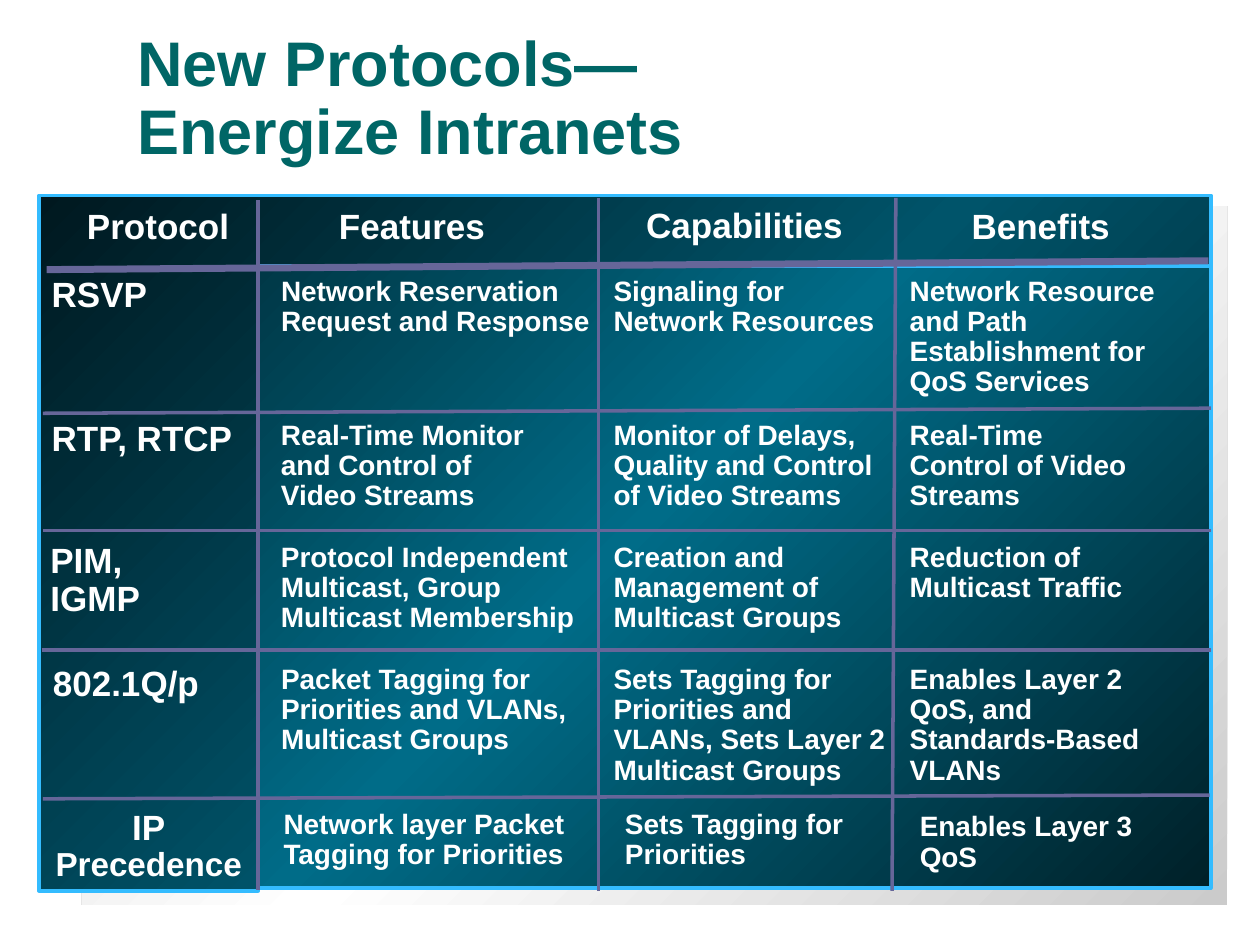
import pptx
import pptx.util
import pptx.dml.color
import pptx.enum.shapes
import pptx.enum.text
import pptx.oxml
import pptx.oxml.ns

Inches = pptx.util.Inches
Pt = pptx.util.Pt
ALIGN = pptx.enum.text.PP_ALIGN
FONT = "Arial"

COLORS = {
    "title": "006666",
    "text": "FFFFFF",
    "rule": "666699",
    "border": "34BCFF",
    "shadow": ("CBCBCB", "FFFFFF"),
    "panel": ("002028", "006C88"),
    "header": ("00181F", "00546A"),
}

# Header labels: text, left, top, width, wrap, alignment
HEADERS = [
    ("Protocol", 0.6, 1.62, 1.31, False, ALIGN.LEFT),
    ("Features", 2.6, 1.62, 1.34, False, ALIGN.CENTER),
    ("Capabilities", 4.46, 1.61, 2.9, True, ALIGN.CENTER),
    ("Benefits", 7.62, 1.62, 1.28, False, ALIGN.CENTER),
]

# Protocol names: text, left, top, width, horizontal inset
PROTOCOLS = [
    ("RSVP", 0.32, 2.16, 0.94, 0.09),
    ("RTP, RTCP", 0.32, 3.3, 1.65, 0.09),
    ("PIM, IGMP", 0.31, 4.27, 1.54, 0.09),
    ("802.1Q/p", 0.31, 5.24, 1.38, 0.11),
]

# Detail rows: top, then text and width for each of the three columns
DETAIL_LEFTS = (2.14, 4.78, 7.13)
DETAILS = [
    (2.16, [("Network Reservation Request and Response", 2.65),
            ("Signaling for\vNetwork Resources", 2.53),
            ("Network Resource and Path Establishment for QoS Services", 2.19)]),
    (3.3, [("Real-Time Monitor and Control of Video Streams", 2.3),
           ("Monitor of Delays, Quality and Control of Video Streams", 2.38),
           ("Real-Time Control of Video Streams", 2.05)]),
    (4.27, [("Protocol Independent Multicast, Group Multicast Membership", 2.7),
            ("Creation and Management of Multicast Groups", 2.38),
            ("Reduction of Multicast Traffic", 2.05)]),
    (5.24, [("Packet Tagging for Priorities and VLANs, Multicast Groups", 2.65),
            ("Sets Tagging for Priorities and VLANs, Sets Layer 2 Multicast Groups", 2.38),
            ("Enables Layer 2 QoS, and Standards-Based VLANs", 2.16)]),
]

# The last row sits slightly to the right of the others
LAST_ROW = [
    ("Network layer Packet Tagging for Priorities", 2.16, 6.39, 2.65),
    ("Sets Tagging for Priorities", 4.87, 6.39, 2.38),
    ("Enables Layer 3 QoS", 7.21, 6.41, 2.16),
]

# Rules: x1, y1, x2, y2, weight
RULES = [
    (2.05, 1.59, 2.05, 7.06, 2),
    (4.75, 1.57, 4.75, 7.07, 2),
    (7.11, 1.57, 7.08, 7.07, 2),
    (0.37, 2.14, 9.59, 2.07, 4),
    (0.34, 3.28, 9.61, 3.24, 2),
    (0.34, 4.21, 9.61, 4.21, 2),
    (0.33, 5.16, 9.61, 5.16, 2),
    (0.34, 6.34, 9.6, 6.31, 2),
]

HEADER_OUTLINE = [(2.05, 7.07), (0.31, 7.07), (0.31, 1.55),
                  (9.61, 1.55), (9.61, 2.11), (2.05, 2.11)]


def rgb(name):
    return pptx.dml.color.RGBColor.from_string(COLORS[name])


def style_panel(sp, name, bordered=True):
    """Give a shape a diagonal edge-middle-edge gradient and its border."""
    edge, middle = COLORS[name]
    stops = "".join(
        f'<a:gs pos="{pos}"><a:srgbClr val="{color}"/></a:gs>'
        for pos, color in ((0, edge), (50000, middle), (100000, edge)))
    grad = pptx.oxml.parse_xml(
        f'<a:gradFill {pptx.oxml.ns.nsdecls("a")} rotWithShape="1">'
        f'<a:gsLst>{stops}</a:gsLst><a:lin ang="13500000" scaled="0"/></a:gradFill>')
    sp.fill.background()
    no_fill = sp._element.spPr.find(pptx.oxml.ns.qn("a:noFill"))
    sp._element.spPr.replace(no_fill, grad)
    sp.shadow.inherit = False
    if bordered:
        sp.line.color.rgb = rgb("border")
        sp.line.width = Pt(2)
    else:
        sp.line.fill.background()


def add_panel(slide, name, left, top, width, height, bordered=True):
    sp = slide.shapes.add_shape(
        pptx.enum.shapes.MSO_SHAPE.RECTANGLE,
        Inches(left), Inches(top), Inches(width), Inches(height))
    style_panel(sp, name, bordered)


def add_header_band(slide):
    points = [(Inches(x), Inches(y)) for x, y in HEADER_OUTLINE]
    builder = slide.shapes.build_freeform(*points[0])
    builder.add_line_segments(points[1:], close=True)
    style_panel(builder.convert_to_shape(), "header")


def add_rule(slide, x1, y1, x2, y2, weight):
    line = slide.shapes.add_connector(
        pptx.enum.shapes.MSO_CONNECTOR.STRAIGHT,
        Inches(x1), Inches(y1), Inches(x2), Inches(y2))
    line.line.color.rgb = rgb("rule")
    line.line.width = Pt(weight)
    line._element.spPr.append(
        pptx.oxml.parse_xml(f'<a:effectLst {pptx.oxml.ns.nsdecls("a")}/>'))


def format_text(tf, size, color, inset=0.09, align=ALIGN.LEFT):
    tf.margin_left = tf.margin_right = Inches(inset)
    tf.margin_top = tf.margin_bottom = Inches(0.05 if inset > 0.1 else 0.04)
    for p in tf.paragraphs:
        p.alignment = align
        p.line_spacing = 0.9
        p.space_before = Pt(0)
        p.font.name = FONT
        p.font.size = Pt(size)
        p.font.bold = True
        p.font.color.rgb = rgb(color)


def add_label(slide, text, left, top, width, height, size=16,
              wrap=True, inset=0.09, align=ALIGN.LEFT):
    sp = slide.shapes.add_textbox(
        Inches(left), Inches(top), Inches(width), Inches(height))
    tf = sp.text_frame
    tf.text = text
    tf.word_wrap = wrap
    tf.auto_size = pptx.enum.text.MSO_AUTO_SIZE.SHAPE_TO_FIT_TEXT
    format_text(tf, size, "text", inset, align)
    return tf


def add_title(slide, text):
    sp = slide.shapes.title
    sp.left, sp.top = Inches(1), Inches(0.17)
    sp.width, sp.height = Inches(8.75), Inches(1.25)
    tf = sp.text_frame
    tf.text = text
    tf.word_wrap = True
    tf.auto_size = pptx.enum.text.MSO_AUTO_SIZE.NONE
    tf.vertical_anchor = pptx.enum.text.MSO_ANCHOR.MIDDLE
    format_text(tf, 36, "title")


def main():
    prs = pptx.Presentation()
    prs.slide_width, prs.slide_height = Inches(10), Inches(7.5)
    slide = prs.slides.add_slide(prs.slide_layouts[5])
    add_title(slide, "New Protocols—\vEnergize Intranets")

    # Backdrop
    add_panel(slide, "shadow", 0.65, 1.64, 9.09, 5.54, bordered=False)
    add_panel(slide, "panel", 0.31, 1.56, 9.3, 5.49)
    add_header_band(slide)

    # Grid rules
    for rule in RULES:
        add_rule(slide, *rule)

    # Column headers and protocol names
    for text, left, top, width, wrap, align in HEADERS:
        add_label(slide, text, left, top, width, 0.39, 20, wrap, align=align)
    for text, left, top, width, inset in PROTOCOLS:
        add_label(slide, text, left, top, width, 0.39, 20, False, inset)
    tf = add_label(slide, "IP\nPrecedence", 0.32, 6.38, 1.72, 0.69, 20,
                   inset=0.11, align=ALIGN.CENTER)
    tf.paragraphs[1].font.size = Pt(19)

    # Details
    for top, cells in DETAILS:
        for left, (text, width) in zip(DETAIL_LEFTS, cells):
            add_label(slide, text, left, top, width, 0.81)
    for text, left, top, width in LAST_ROW:
        add_label(slide, text, left, top, width, 0.57)

    prs.save("out.pptx")


if __name__ == "__main__":
    main()
